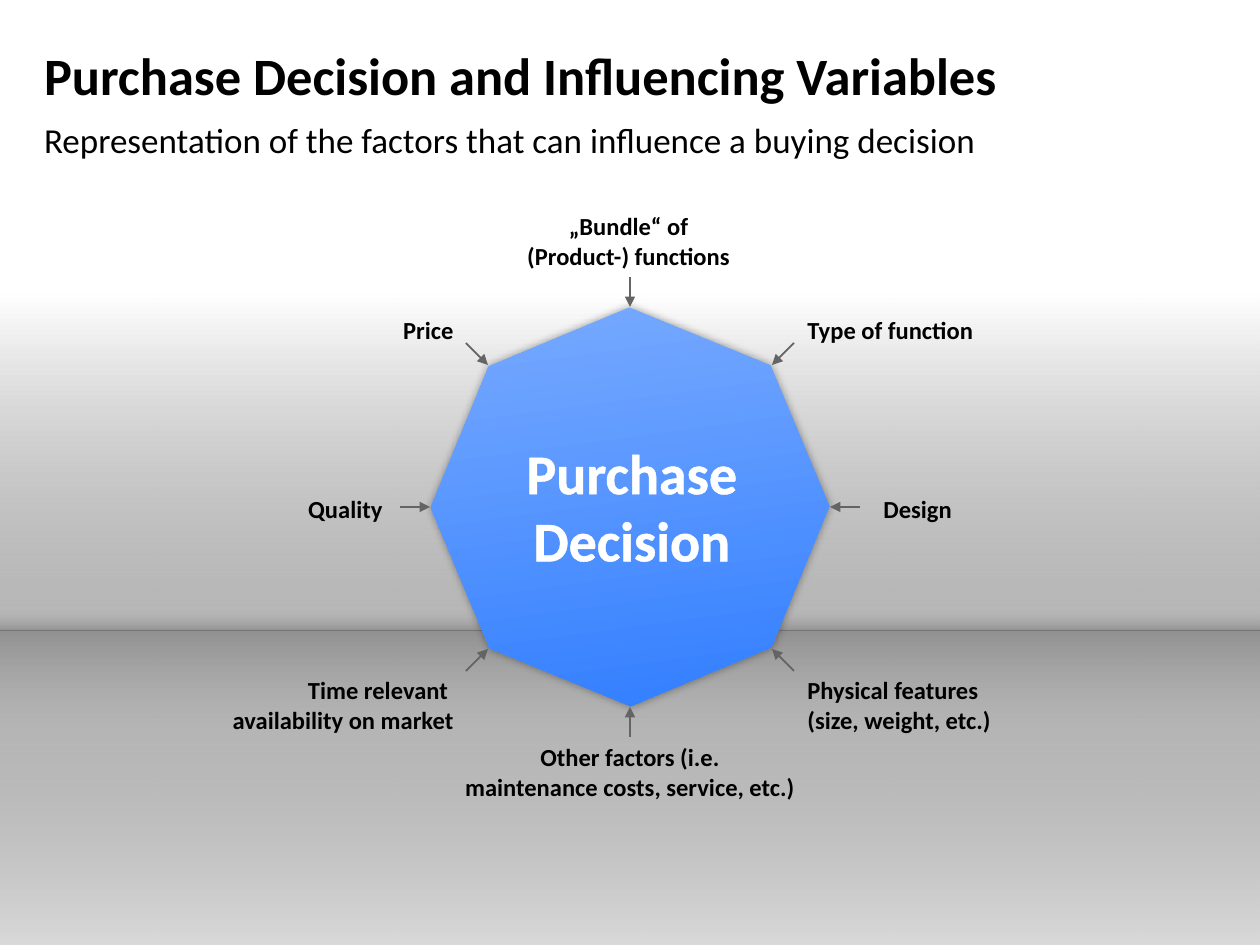
from dataclasses import dataclass

from lxml.etree import SubElement
from pptx import Presentation
from pptx.dml.color import RGBColor
from pptx.enum.shapes import MSO_CONNECTOR as Connector, MSO_SHAPE as Shape
from pptx.enum.text import MSO_ANCHOR as Anchor, MSO_AUTO_SIZE as AutoSize, PP_ALIGN as Align
from pptx.oxml import parse_xml
from pptx.oxml.ns import nsdecls, qn
from pptx.util import Emu, Pt

PX = 914400 / 126
BLACK = RGBColor(0x00, 0x00, 0x00)
WHITE = RGBColor(0xFF, 0xFF, 0xFF)
ARROW_GREY = RGBColor(0x64, 0x64, 0x64)
LIGHT_BLUE = RGBColor(0x7F, 0xAF, 0xFF)
DEEP_BLUE = RGBColor(0x2A, 0x79, 0xFF)
FONT = "Calibri"
CENTER_X, CENTER_Y = 630, 507
CARDINAL_REACH = (230, 200)
DIAGONAL_REACH = (164, 142)


@dataclass(frozen=True)
class Stop:
    color: RGBColor
    opacity: int = 100


@dataclass(frozen=True)
class Area:
    left: int
    top: int
    width: int
    height: int

    def emu(self) -> list[Emu]:
        return [px(n) for n in (self.left, self.top, self.width, self.height)]


@dataclass(frozen=True)
class Band:
    area: Area
    start: Stop
    end: Stop
    angle: int


@dataclass(frozen=True)
class Factor:
    text: str
    left: int
    top: int
    width: int
    align: Align
    side_x: int
    side_y: int

    def area(self) -> Area:
        return Area(self.left, self.top, self.width, 72 if "\v" in self.text else 43)


BANDS = [
    Band(Area(0, 294, 1260, 651), Stop(BLACK, 15), Stop(WHITE), 270),
    Band(Area(0, 631, 1260, 135), Stop(BLACK, 20), Stop(WHITE, 0), 90),
    Band(Area(0, 605, 1260, 26), Stop(BLACK, 20), Stop(WHITE, 0), 270),
]
FACTORS = [
    Factor("„Bundle“ of\v(Product-) functions", 513, 205, 231, Align.CENTER, 0, -1),
    Factor("Other factors (i.e.\vmaintenance costs, service, etc.)", 451, 736, 358, Align.CENTER, 0, 1),
    Factor("Design", 871, 488, 95, Align.LEFT, 1, 0),
    Factor("Quality", 294, 488, 101, Align.RIGHT, -1, 0),
    Factor("Price", 389, 309, 77, Align.RIGHT, -1, -1),
    Factor("Time relevant \vavailability on market", 218, 669, 248, Align.RIGHT, -1, 1),
    Factor("Type of function", 795, 309, 192, Align.LEFT, 1, -1),
    Factor("Physical features\v(size, weight, etc.)", 795, 669, 210, Align.LEFT, 1, 1),
]


def px(length: int) -> Emu:
    return Emu(round(length * PX))


def write_text(frame, text: str, *, size: int, color=BLACK, bold=False, align=Align.LEFT,
               anchor=Anchor.TOP, wrap=False, inset=None, fit=AutoSize.SHAPE_TO_FIT_TEXT) -> None:
    frame.text = text
    frame.word_wrap = wrap
    frame.auto_size = fit
    frame.vertical_anchor = anchor
    if inset is not None:
        frame.margin_left = frame.margin_right = px(inset)
        frame.margin_top = frame.margin_bottom = px(inset)
    for paragraph in frame.paragraphs:
        paragraph.alignment = align
        paragraph.space_before = Pt(0)
        for run in paragraph.runs:
            run.font.name = FONT
            run.font.size = Pt(size)
            run.font.bold = bold
            run.font.color.rgb = color


def fill_placeholder(placeholder, area: Area, text: str, **text_format) -> None:
    placeholder.left, placeholder.top, placeholder.width, placeholder.height = area.emu()
    write_text(placeholder.text_frame, text, wrap=True, inset=0, fit=AutoSize.NONE, **text_format)


def add_label(slide, area: Area, text: str, **text_format):
    label = slide.shapes.add_textbox(*area.emu())
    write_text(label.text_frame, text, **text_format)
    return label


def add_gradient_shape(slide, preset: Shape, band: Band):
    shape = slide.shapes.add_shape(preset, *band.area.emu())
    shape.shadow.inherit = False
    shape.line.fill.background()
    shape.fill.gradient()
    shape.fill.gradient_angle = (360 - band.angle) % 360
    for gradient_stop, stop in zip(shape.fill.gradient_stops, (band.start, band.end)):
        gradient_stop.color.rgb = stop.color
    for node, stop in zip(shape.element.spPr.iter(qn("a:srgbClr")), (band.start, band.end)):
        if stop.opacity < 100:
            SubElement(node, qn("a:alpha"), val=str(stop.opacity * 1000))
    return shape


def add_octagon(slide) -> None:
    body = Band(Area(446, 323, 368, 368), Stop(LIGHT_BLUE), Stop(DEEP_BLUE), 60)
    octagon = add_gradient_shape(slide, Shape.OCTAGON, body)
    octagon.rotation = 22.3
    effects = octagon.element.spPr.find(qn("a:effectLst"))
    glow = SubElement(effects, qn("a:outerShdw"), blurRad=str(Pt(5)), dist="0", dir="0",
                      algn="ctr", rotWithShape="0")
    shade = SubElement(glow, qn("a:srgbClr"), val=str(BLACK))
    SubElement(shade, qn("a:alpha"), val="40000")

    caption = add_label(slide, Area(513, 432, 238, 149), "Purchase\nDecision", size=32,
                        color=WHITE, bold=True, align=Align.CENTER)
    for paragraph in caption.text_frame.paragraphs:
        for run in paragraph.runs:
            outline = parse_xml(
                f'<a:ln {nsdecls("a")} w="{Pt(0.75)}"><a:solidFill>'
                f'<a:srgbClr val="{WHITE}"/></a:solidFill></a:ln>')
            run.font._element.insert(0, outline) if hasattr(run.font, "_element") else \
                run._r.get_or_add_rPr().insert(0, outline)


def add_arrow(slide, factor: Factor) -> None:
    outer, inner = DIAGONAL_REACH if factor.side_x and factor.side_y else CARDINAL_REACH
    ends = [px(center + side * reach)
            for reach in (outer, inner)
            for center, side in ((CENTER_X, factor.side_x), (CENTER_Y, factor.side_y))]
    arrow = slide.shapes.add_connector(Connector.STRAIGHT, *ends)
    arrow.line.color.rgb = ARROW_GREY
    arrow.line.width = Pt(1)
    SubElement(arrow.line._get_or_add_ln(), qn("a:tailEnd"), type="triangle")
    SubElement(arrow.element.spPr, qn("a:effectLst"))


def main() -> None:
    deck = Presentation()
    deck.slide_width, deck.slide_height = px(1260), px(945)
    slide = deck.slides.add_slide(deck.slide_layouts[1])

    for band in BANDS:
        add_gradient_shape(slide, Shape.RECTANGLE, band)

    fill_placeholder(slide.shapes.title, Area(44, 33, 1171, 84),
                     "Purchase Decision and Influencing Variables",
                     size=30, bold=True, anchor=Anchor.MIDDLE)
    subtitle = slide.placeholders[1]
    fill_placeholder(subtitle, Area(44, 118, 1171, 47),
                     "Representation of the factors that can influence a buying decision", size=20)
    properties = subtitle.text_frame.paragraphs[0]._p.get_or_add_pPr()
    properties.set("marL", "0")
    properties.set("indent", "0")
    SubElement(properties, qn("a:buNone"))

    add_octagon(slide)
    for factor in FACTORS:
        add_label(slide, factor.area(), factor.text, size=14, bold=True, align=factor.align)
    for factor in FACTORS:
        add_arrow(slide, factor)
    deck.save("out.pptx")


if __name__ == "__main__":
    main()
